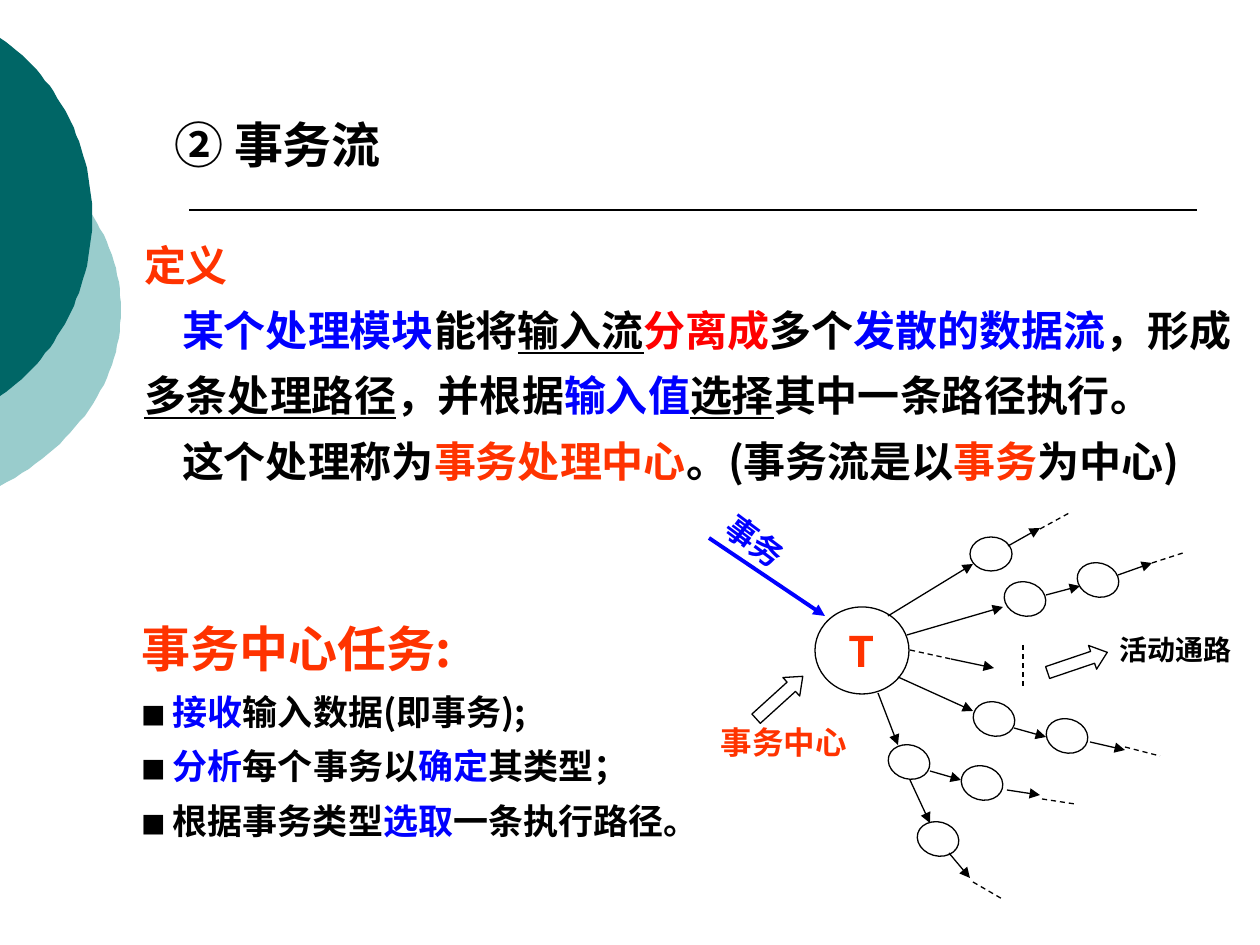
from lxml import etree
from pptx import Presentation
from pptx.dml.color import RGBColor
from pptx.enum.dml import MSO_LINE
from pptx.enum.shapes import MSO_CONNECTOR, MSO_SHAPE
from pptx.enum.text import MSO_ANCHOR, MSO_AUTO_SIZE, PP_ALIGN
from pptx.oxml.ns import qn
from pptx.util import Pt

PX = 914400 / 126
BLACK = RGBColor(0, 0, 0)
BLUE = RGBColor(0, 0, 255)
RED = RGBColor(255, 0, 0)
ORANGE = RGBColor(0xFF, 0x33, 0)
TEAL = RGBColor(0, 0x66, 0x66)
PALE = RGBColor(0x99, 0xCC, 0xCC)
NOTO, ROBOTO = "Noto Sans CJK SC", "Roboto"
DASH = MSO_LINE.DASH
LINE = MSO_CONNECTOR.STRAIGHT
NODE = MSO_SHAPE.FLOWCHART_CONNECTOR
ARROW = MSO_SHAPE.RIGHT_ARROW
TOP, MIDDLE = MSO_ANCHOR.TOP, MSO_ANCHOR.MIDDLE
LEFT, CENTER = PP_ALIGN.LEFT, PP_ALIGN.CENTER
FIXED = MSO_AUTO_SIZE.NONE


def emu(*nums):
    return [round(n * PX) for n in nums]


def add_run(para, text, size, color=BLACK, bold=True, under=False, face=NOTO):
    run = para.add_run()
    run.text = text
    font = run.font
    font.size, font.bold, font.underline = Pt(size), bold, under
    font.color.rgb = color
    font.name = face
    etree.SubElement(run._r.get_or_add_rPr(), qn("a:ea"), typeface=face)


def set_frame(shape, anchor=TOP, wrap=True):
    frame = shape.text_frame
    frame.auto_size = FIXED
    frame.word_wrap = wrap
    frame.vertical_anchor = anchor
    frame.margin_left = frame.margin_top = 0
    frame.margin_right = frame.margin_bottom = 0
    return frame


def set_para(para, size, ratio=1.2):
    para.alignment = LEFT
    para.space_before = Pt(0)
    para.line_spacing = Pt(round(size * ratio, 1))


def add_line(slide, start, end, color=BLACK, width=0.75, head=False, dash=False):
    line = slide.shapes.add_connector(LINE, *emu(*start, *end))
    line.line.color.rgb = color
    line.line.width = Pt(width)
    if dash:
        line.line.dash_style = DASH
    if head:
        etree.SubElement(line.line._get_or_add_ln(), qn("a:tailEnd"), type="triangle")
    etree.SubElement(line._element.spPr, qn("a:effectLst"))


def add_shape(slide, kind, box, turn=0):
    shape = slide.shapes.add_shape(kind, *emu(*box))
    shape.shadow.inherit = False
    shape.fill.background()
    shape.line.color.rgb = BLACK
    shape.line.width = Pt(0.75)
    shape.rotation = turn
    return shape


def add_label(slide, box, text, size, color, turn=0):
    label = slide.shapes.add_textbox(*emu(*box))
    label.rotation = turn
    para = set_frame(label).paragraphs[0]
    set_para(para, size)
    add_run(para, text, size, color, face=ROBOTO)


def add_block(slide, box, rows):
    frame = set_frame(slide.shapes.add_textbox(*emu(*box)))
    for i, (size, indent, runs) in enumerate(rows):
        para = frame.add_paragraph() if i else frame.paragraphs[0]
        set_para(para, size, 1.56)
        if indent:
            para._p.get_or_add_pPr().set("indent", str(emu(indent)[0]))
        for run in runs:
            add_run(para, *run)


def bezier(a, b, c, d, steps=30):
    for i in range(1, steps + 1):
        t = i / steps
        s = 1 - t
        yield tuple(
            s**3 * p + 3 * s * s * t * q + 3 * s * t * t * r + t**3 * u
            for p, q, r, u in zip(a, b, c, d)
        )


def add_disc(slide, box, bend, rise, drop, color):
    x, y, wide, high = box
    mid, low = y + high / 2, y + high
    upper = bezier((x, y), (x + bend, y + rise), (x + wide, mid - drop), (x + wide, mid))
    lower = bezier((x + wide, mid), (x + wide, mid + drop), (x + bend, low - rise), (x, low))
    path = slide.shapes.build_freeform(x, y, scale=PX)
    path.add_line_segments([*upper, *lower], close=True)
    disc = path.convert_to_shape()
    disc.shadow.inherit = False
    disc.fill.solid()
    disc.fill.fore_color.rgb = color
    disc.line.fill.background()


def add_decor(slide):
    add_disc(slide, (0, 134, 121, 352), 76, 40, 71, PALE)
    add_disc(slide, (0, 38, 92, 358), 58, 40, 71, TEAL)
    add_line(slide, (189, 210), (1197, 210), width=1)


def add_title(slide, box):
    title = slide.shapes.title
    title.left, title.top, title.width, title.height = emu(*box)
    para = set_frame(title).paragraphs[0]
    set_para(para, 28)
    add_run(para, "② 事务流", 28)


def add_meaning(slide, box):
    add_block(slide, box, [
        (24, 0, [("定义", 24, ORANGE)]),
        (24, 38, [
            ("某个处理模块", 24, BLUE), ("能将", 24),
            ("输入流", 24, BLACK, True, True), ("分离成", 24, RED),
            ("多个", 24), ("发散的数据流", 24, BLUE), ("，形成", 24),
            ("多条处理路径", 24, BLACK, True, True), ("，并根据", 24),
            ("输入值", 24, BLUE), ("选择", 24, BLACK, True, True),
            ("其中一条路径执行。", 24),
        ]),
        (24, 38, [
            ("这个处理称为", 24), ("事务处理中心", 24, ORANGE),
            ("。(事务流是以", 24), ("事务", 24, ORANGE), ("为中心)", 24),
        ]),
    ])


def add_tasks(slide, box):
    mark = [("■", 14, BLACK, False), (" ", 16, BLACK, False)]
    tasks = [
        [("接收", 20, BLUE), ("输入数据(即事务);", 20)],
        [("分析", 20, BLUE), ("每个事务以", 20), ("确定", 20, BLUE), ("其类型；", 20)],
        [("根据事务类型", 20), ("选取", 20, BLUE), ("一条执行路径。", 20)],
    ]
    rows = [(28, 0, [("事务中心任务:", 28, ORANGE)])]
    add_block(slide, box, rows + [(20, 0, mark + task) for task in tasks])


def add_flow(slide, left, top):
    def at(x, y):
        return left + x, top + y

    hub = add_shape(slide, NODE, (*at(115, 107), 94, 87))
    para = set_frame(hub, MIDDLE, False).paragraphs[0]
    para.alignment = CENTER
    add_run(para, "T", 24, ORANGE)

    nodes = [
        (270, 37, 0), (304, 82, 15.5), (377, 63, 15.5), (273, 202, 15.5),
        (346, 219, 15.5), (188, 245, 15.5), (261, 266, 15.5), (217, 322, 15.5),
    ]
    for x, y, turn in nodes:
        add_shape(slide, NODE, (*at(x, y), 42, 34), turn)

    solid = [
        (188, 116, 273, 64), (308, 46, 340, 28), (207, 135, 303, 107),
        (346, 95, 380, 86), (418, 75, 452, 63), (251, 159, 294, 168),
        (198, 177, 273, 211), (314, 228, 346, 237), (390, 242, 425, 250),
        (178, 193, 198, 245), (230, 271, 261, 280), (307, 290, 340, 295),
        (210, 280, 230, 323), (249, 353, 270, 378),
    ]
    for x, y, u, v in solid:
        add_line(slide, at(x, y), at(u, v), head=True)
    dashed = [
        (340, 29, 371, 12), (452, 63, 486, 52), (210, 150, 251, 159),
        (323, 145, 323, 188), (425, 247, 460, 256), (342, 299, 375, 304),
        (273, 382, 304, 400),
    ]
    for x, y, u, v in dashed:
        add_line(slide, at(x, y), at(u, v), dash=True)

    for x, y, turn in [(346, 150, 341.3), (48, 185, 317.8)]:
        arrow = add_shape(slide, ARROW, (*at(x, y), 63, 25), turn)
        arrow.adjustments[1] = 0.62
    add_line(slide, at(9, 38), at(125, 116), BLUE, 2.25, head=True)
    add_label(slide, (*at(420, 133), 116, 34), "活动通路", 16, BLACK)
    add_label(slide, (*at(21, 223), 129, 38), "事务中心", 18, ORANGE)
    add_label(slide, (*at(21, 29), 86, 38), "事务", 18, BLUE, 36.7)


def main():
    deck = Presentation()
    deck.slide_width, deck.slide_height = emu(1260, 945)
    slide = deck.slides.add_slide(deck.slide_layouts[5])
    add_decor(slide)
    add_title(slide, (174, 115, 238, 59))
    add_meaning(slide, (144, 224, 1101, 265))
    add_flow(slide, 700, 500)
    add_tasks(slide, (142, 601, 580, 241))
    deck.save("out.pptx")


if __name__ == "__main__":
    main()
